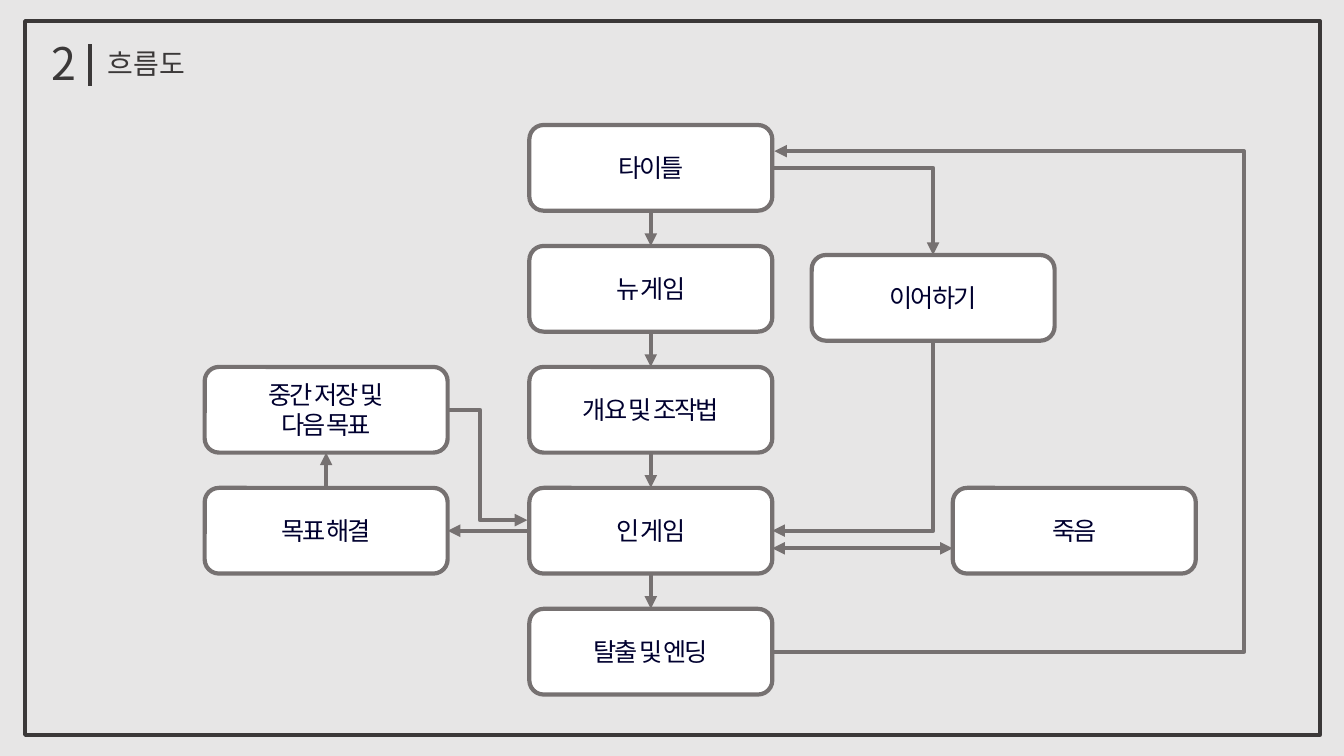
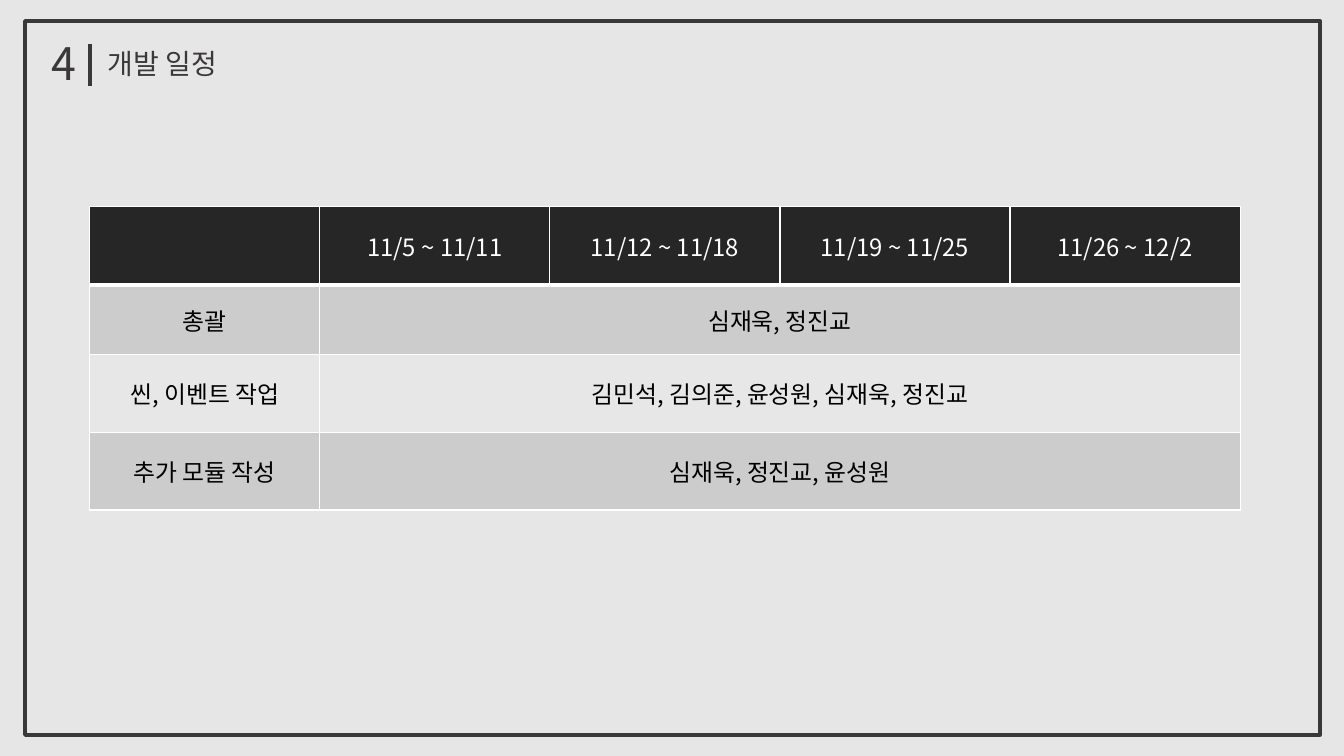
from lxml import etree
from pptx import Presentation
from pptx.dml.color import RGBColor
from pptx.enum import shapes, text
from pptx.oxml.ns import qn
from pptx.util import Inches, Pt

FONT = "Noto Sans CJK KR"
PAPER = RGBColor(0xE7, 0xE6, 0xE6)
DARK = RGBColor(0x3B, 0x38, 0x38)
GRAY = RGBColor(0x76, 0x71, 0x71)
NAVY = RGBColor(0x00, 0x00, 0x2F)
WHITE = RGBColor(0xFF, 0xFF, 0xFF)
BLACK = RGBColor(0x00, 0x00, 0x00)
HEAD = RGBColor(0x26, 0x26, 0x26)
BANDS = [RGBColor(0xCC, 0xCC, 0xCC), RGBColor(0xE7, 0xE7, 0xE7)]

BOX_W, BOX_H = 2.41, 0.85
LEFT, MID = 2.03, 5.25
ROWS = [1.24 + 1.2 * i for i in range(5)]
BOXES = {
    "title": ("타이틀", MID, ROWS[0]),
    "new": ("뉴 게임", MID, ROWS[1]),
    "load": ("이어하기", 8.05, 2.53),
    "guide": ("개요 및 조작법", MID, ROWS[2]),
    "play": ("인 게임", MID, ROWS[3]),
    "goal": ("목표 해결", LEFT, ROWS[3]),
    "save": ("중간 저장 및\n다음 목표", LEFT, ROWS[2]),
    "death": ("죽음", 9.45, ROWS[3]),
    "end": ("탈출 및 엔딩", MID, ROWS[4]),
}
TOP, WEST, BOTTOM, EAST = range(4)
LINKS = [
    ("title", BOTTOM, "new", TOP),
    ("new", BOTTOM, "guide", TOP),
    ("guide", BOTTOM, "play", TOP),
    ("play", BOTTOM, "end", TOP),
    ("play", WEST, "goal", EAST),
    ("goal", TOP, "save", BOTTOM),
]

DATES = ["11/5 ~ 11/11", "11/12 ~ 11/18", "11/19 ~ 11/25", "11/26 ~ 12/2"]
TASKS = [
    ("총괄", "심재욱, 정진교"),
    ("씬, 이벤트 작업", "김민석, 김의준, 윤성원, 심재욱, 정진교"),
    ("추가 모듈 작성", "심재욱, 정진교, 윤성원"),
]
HEIGHTS = [0.78, 0.69, 0.77, 0.77]


def write(frame, words, size, color, align=None, space=None):
    frame.text = words
    for para in frame.paragraphs:
        para.alignment = align
        font = para.font
        font.name, font.size = FONT, Pt(size)
        font.color.rgb = color
        props = para._p.pPr.find(qn("a:defRPr"))
        etree.SubElement(props, qn("a:ea"), typeface=FONT)
        if space:
            props.set("spc", str(space))


def label(slide, words, size, *area):
    frame = slide.shapes.add_textbox(*map(Inches, area)).text_frame
    frame.word_wrap = True
    frame.auto_size = text.MSO_AUTO_SIZE.SHAPE_TO_FIT_TEXT
    write(frame, words, size, DARK)


def panel(slide, kind, area, color, fill=None):
    shape = slide.shapes.add_shape(kind, *map(Inches, area))
    shape.shadow.inherit = False
    if fill is None:
        shape.fill.background()
    else:
        shape.fill.solid()
        shape.fill.fore_color.rgb = fill
    shape.line.color.rgb, shape.line.width = color, Pt(3)
    return shape


def line(slide, start, stop, color=GRAY, ends=("tailEnd",), bend=None, adj=None):
    kind = shapes.MSO_CONNECTOR.ELBOW if bend else shapes.MSO_CONNECTOR.STRAIGHT
    wire = slide.shapes.add_connector(kind, *map(Inches, start + stop))
    wire.line.color.rgb, wire.line.width = color, Pt(3)
    props = wire._element.spPr
    for name in ends:
        etree.SubElement(wire.line._ln, qn("a:" + name), type="triangle")
    etree.SubElement(props, qn("a:effectLst"))
    if bend:
        geom = props.find(qn("a:prstGeom"))
        geom.set("prst", bend)
        if adj is not None:
            guide = etree.SubElement(geom.find(qn("a:avLst")), qn("a:gd"))
            guide.set("name", "adj1")
            guide.set("fmla", f"val {round(adj * 100000)}")
    return wire


def port(name, side):
    x, y = BOXES[name][1:]
    dx, dy = [(0.5, 0), (0, 0.5), (0.5, 1), (1, 0.5)][side]
    return x + dx * BOX_W, y + dy * BOX_H


def join(slide, nodes, link, **style):
    a, i, b, j = link
    wire = line(slide, port(a, i), port(b, j), **style)
    wire.begin_connect(nodes[a], i)
    wire.end_connect(nodes[b], j)
    return wire


def page(deck, number, name):
    slide = deck.slides.add_slide(deck.slide_layouts[6])
    slide.background.fill.solid()
    slide.background.fill.fore_color.rgb = PAPER
    panel(slide, shapes.MSO_SHAPE.RECTANGLE, (0.25, 0.21, 12.84, 7.08), DARK)
    label(slide, number, 32, 0.41, 0.31, 0.56, 0.64)
    label(slide, name, 20, 0.97, 0.41, 4.76, 0.44)
    line(slide, (0.89, 0.44), (0.89, 0.85), DARK, ())
    return slide


def flow(slide):
    nodes = {}
    for key, (words, x, y) in BOXES.items():
        area = (x, y, BOX_W, BOX_H)
        node = panel(slide, shapes.MSO_SHAPE.ROUNDED_RECTANGLE, area, GRAY, WHITE)
        node.text_frame.vertical_anchor = text.MSO_ANCHOR.MIDDLE
        write(node.text_frame, words, 18, NAVY, text.PP_ALIGN.CENTER, -150)
        nodes[key] = node
    for link in LINKS:
        join(slide, nodes, link)

    join(slide, nodes, ("title", EAST, "load", TOP), bend="bentConnector2")
    turn = join(slide, nodes, ("load", BOTTOM, "play", EAST), bend="bentConnector2")
    (x1, y1), (x2, y2) = port("load", BOTTOM), port("play", EAST)
    wide, high = y2 - y1, x1 - x2
    turn.left, turn.top = Inches((x1 + x2 - wide) / 2), Inches((y1 + y2 - high) / 2)
    turn.width, turn.height = Inches(wide), Inches(high)
    frame = turn._element.spPr.find(qn("a:xfrm"))
    frame.attrib.pop("flipH", None)
    frame.set("rot", "5400000")

    x, y = port("save", EAST)
    line(slide, (x, y), (5.23, 5.16), bend="bentConnector3", adj=(4.76 - x) / (5.23 - x))
    x, y = port("end", EAST)
    line(slide, (x, y), (x + 0.02, 1.5), bend="bentConnector3", adj=(12.32 - x) / 0.02)
    line(slide, (x, 5.44), (9.45, 5.44), ends=("headEnd", "tailEnd"))


def border(cell, base):
    props = cell._tc.get_or_add_tcPr()
    for i, side in enumerate(("lnL", "lnR", "lnT", "lnB")):
        width = base if side == "lnB" else 1
        edge = etree.Element(qn("a:" + side), w=str(Pt(width)))
        fill = etree.SubElement(edge, qn("a:solidFill"))
        etree.SubElement(fill, qn("a:srgbClr"), val=str(WHITE))
        props.insert(i, edge)


def plan(slide):
    cols = len(DATES) + 1
    area = map(Inches, (0.89, 2.05, 11.41, sum(HEIGHTS)))
    table = slide.shapes.add_table(len(HEIGHTS), cols, *area).table
    for row, height in zip(table.rows, HEIGHTS):
        row.height = Inches(height)
    for r, words in enumerate([["", *DATES], *TASKS]):
        if r:
            table.cell(r, 1).merge(table.cell(r, cols - 1))
        for c in range(cols):
            cell = table.cell(r, c)
            cell.fill.solid()
            cell.fill.fore_color.rgb = BANDS[(r - 1) % 2] if r else HEAD
            border(cell, 1 if r else 3)
            cell.vertical_anchor = text.MSO_ANCHOR.MIDDLE
            if c < len(words) and words[c]:
                ink = BLACK if r else WHITE
                write(cell.text_frame, words[c], 17, ink, text.PP_ALIGN.CENTER)
                for para in cell.text_frame.paragraphs:
                    para.font.bold = False


def main():
    deck = Presentation()
    deck.slide_width, deck.slide_height = Inches(13.33), Inches(7.5)
    flow(page(deck, "2", "흐름도"))
    plan(page(deck, "4", "개발 일정"))
    deck.save("out.pptx")


if __name__ == "__main__":
    main()
